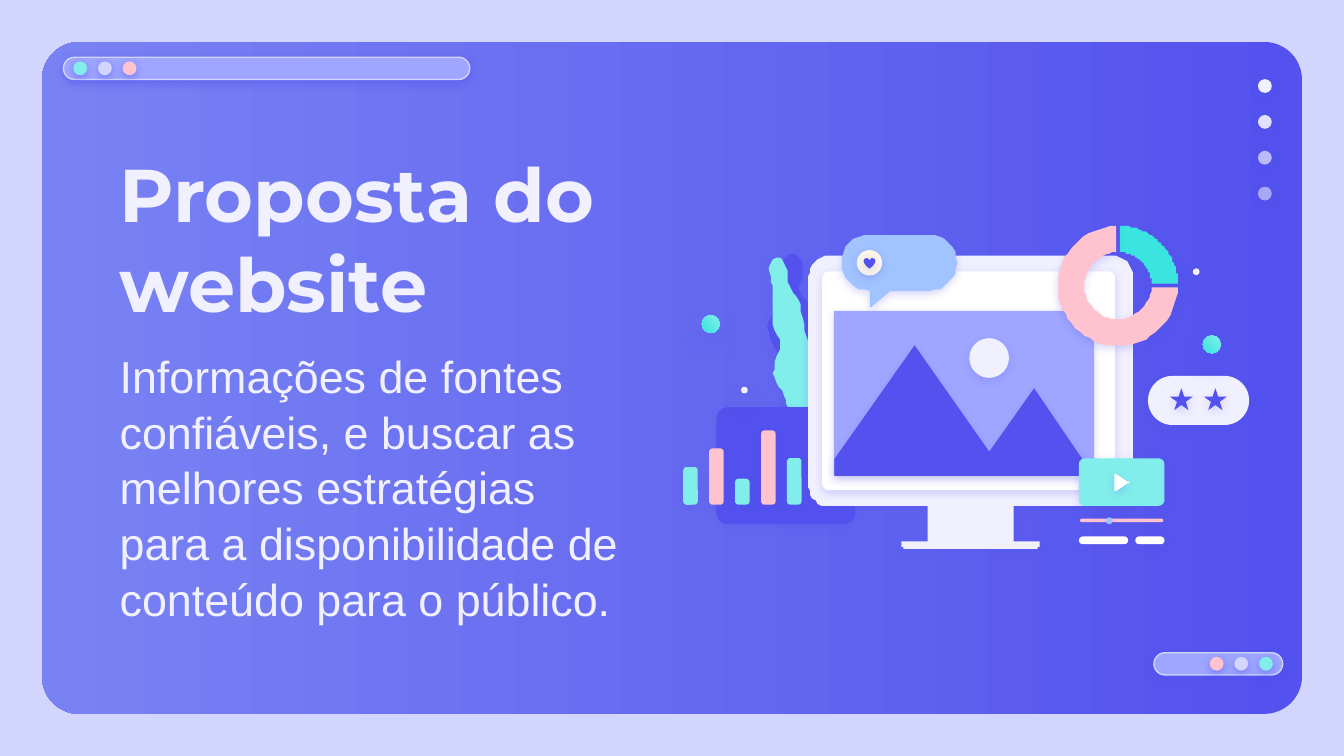
import math
from lxml import etree
from pptx import Presentation
from pptx import util as u
from pptx.dml.color import RGBColor
from pptx.enum import shapes, text
from pptx.oxml import ns

PALE = RGBColor(0xD2, 0xD6, 0xFF)
INDIGO = RGBColor(0x53, 0x52, 0xEE)
VIOLET = RGBColor(0x78, 0x82, 0xF3)
LILAC = RGBColor(0x9E, 0xA6, 0xFF)
MINT = RGBColor(0x81, 0xEE, 0xEB)
TEAL = RGBColor(0x3A, 0xE4, 0xDF)
PINK = RGBColor(0xFF, 0xC3, 0xD0)
SNOW = RGBColor(0xF1, 0xF0, 0xFF)
SKY = RGBColor(0xA1, 0xC3, 0xFF)
CREAM = RGBColor(0xFA, 0xF6, 0xE8)
WHITE = RGBColor(0xFF, 0xFF, 0xFF)
FIRM = (50, 4.5, 1.5)
SOFT = (22, 4.5, 1.5)
FAINT = (18, 4.5, 1.5)
WIDE = (38, 12.4, 6.8)
KIND = shapes.MSO_SHAPE


def curve(a, b, c, d, steps=8):
    for i in range(1, steps + 1):
        t = i / steps
        s = 1 - t
        yield tuple(s**3 * p + 3 * s * s * t * q + 3 * s * t * t * r + t**3 * v
                    for p, q, r, v in zip(a, b, c, d))


def toward(a, b, dist):
    part = dist / math.dist(a, b)
    return tuple(p + (q - p) * part for p, q in zip(a, b))


class Board:
    def __init__(self, slide):
        self.slide = slide
        self.shade = FIRM

    def tag(self, parent, name, **attrs):
        return etree.SubElement(parent, ns.qn(name), {k: str(v) for k, v in attrs.items()})

    def paint(self, shape, color, edge=None, alpha=100):
        if isinstance(color, RGBColor):
            shape.fill.solid()
            shape.fill.fore_color.rgb = color
        else:
            first, last, angle = color
            shape.fill.gradient()
            shape.fill.gradient_angle = angle
            for stop, tone in zip(shape.fill.gradient_stops, (first, last)):
                stop.color.rgb = tone
        props = shape._element.spPr
        if alpha < 100:
            self.tag(props.find(".//" + ns.qn("a:srgbClr")), "a:alpha", val=alpha * 1000)
        if edge is None:
            shape.line.fill.background()
        else:
            shape.line.color.rgb = edge
            shape.line.width = u.Pt(0.75)
        shape.shadow.inherit = False
        if self.shade:
            alpha, blur, dist = self.shade
            glow = self.tag(props.find(ns.qn("a:effectLst")), "a:outerShdw", blurRad=u.Pt(blur),
                            dist=u.Pt(dist), dir=5400000, algn="bl", rotWithShape=0)
            tone = self.tag(glow, "a:srgbClr", val=INDIGO)
            self.tag(tone, "a:alpha", val=alpha * 1000)

    def form(self, kind, x, y, w, h, color, **style):
        shape = self.slide.shapes.add_shape(kind, u.Pt(x), u.Pt(y), u.Pt(w), u.Pt(h))
        self.paint(shape, color, **style)
        return shape

    def box(self, x, y, w, h, color, r, **style):
        shape = self.form(KIND.ROUNDED_RECTANGLE, x, y, w, h, color, **style)
        shape.adjustments[0] = r / min(w, h)

    def dot(self, x, y, size, color, **style):
        self.form(KIND.OVAL, x - size / 2, y - size / 2, size, size, color, **style)

    def poly(self, points, color):
        pen = self.slide.shapes.build_freeform(*points[0], scale=u.Pt(1))
        pen.add_line_segments(points[1:])
        self.paint(pen.convert_to_shape(), color)

    def round(self, corners, color):
        points = []
        for i, (x, y, r) in enumerate(corners):
            spot = (x, y)
            if not r:
                points.append(spot)
                continue
            before, after = corners[i - 1][:2], corners[(i + 1) % len(corners)][:2]
            start, end = toward(spot, before, r), toward(spot, after, r)
            points.append(start)
            points.extend(curve(start, toward(spot, before, r * 0.45),
                                toward(spot, after, r * 0.45), end))
        self.poly(points, color)

    def leaf(self, knots, color):
        points = [knots[0]]
        for i, b in enumerate(knots):
            a, c, d = knots[i - 1], knots[(i + 1) % len(knots)], knots[(i + 2) % len(knots)]
            out = tuple(q + (r - p) / 6 for p, q, r in zip(a, b, c))
            into = tuple(q - (r - p) / 6 for p, q, r in zip(b, c, d))
            points.extend(curve(b, out, into, c, 4))
        self.poly(points, color)

    def ring(self, x, y, outer, inner, start, sweep, gap, color):
        points = []
        for radius, order in ((outer, range(49)), (inner, range(48, -1, -1))):
            trim = math.asin(gap / radius)
            for i in order:
                angle = math.radians(start) + trim + (math.radians(sweep) - 2 * trim) * i / 48
                points.append((x + radius * math.cos(angle), y + radius * math.sin(angle)))
        self.poly(points, color)

    def words(self, x, y, w, h, copy, font, size, bold, anchor, space):
        frame = self.slide.shapes.add_textbox(u.Pt(x), u.Pt(y), u.Pt(w), u.Pt(h)).text_frame
        frame.word_wrap = True
        frame.vertical_anchor = anchor
        frame.margin_left = frame.margin_right = u.Pt(7.2)
        frame.margin_top = frame.margin_bottom = u.Pt(7.2)
        frame.text = copy
        line = frame.paragraphs[0]
        line.line_spacing = space
        face = line.runs[0].font
        face.name, face.size, face.bold = font, u.Pt(size), bold
        face.color.rgb = SNOW


def frame(b):
    b.shade = None
    b.box(22.5, 22.5, 675, 360, (INDIGO, VIOLET, 180), 20.16)
    b.shade = FIRM
    for x, y, w, first, step in ((34, 30.7, 217.7, 43, 13.2), (618.2, 349.7, 69, 678.2, -13.2)):
        b.box(x, y, w, 11.9, LILAC, 5.95, edge=PALE)
        for i, color in enumerate((MINT, PALE, PINK)):
            b.dot(first + i * step, y + 5.9, 7.4, color)
    for i, alpha in enumerate((100, 90, 67, 54)):
        b.dot(677.6, 46.1 + i * 19.2, 7.4, SNOW, alpha=alpha)


def plant(b):
    b.shade = FAINT
    b.leaf([(423.4, 136.1), (428.4, 137.5), (429.8, 146.2), (428.4, 154.8), (432.7, 162.7),
            (435.6, 167), (437, 176.4), (434.9, 182.2), (438.5, 191.5), (442.8, 199.4),
            (440.6, 209.5), (437.8, 218.2), (435.6, 225.4), (430.6, 226.1), (422.6, 219.6),
            (422.6, 203), (416.9, 190.1), (411.1, 175), (416.2, 165.6), (421.2, 154.8),
            (420.5, 148.3), (419.8, 140.4)], INDIGO)
    b.leaf([(416.9, 137.5), (421.2, 142.6), (422.6, 153.4), (427.7, 160.6), (430.6, 173.5),
            (434.2, 185.8), (439.9, 198), (437.8, 203.8), (435.6, 213.1), (438.5, 225.4),
            (432, 231.1), (424.8, 228.2), (421.9, 219.6), (420.5, 211.7), (414.7, 202.3),
            (415.4, 193.7), (418.3, 184.3), (414, 174.2), (414, 163.4), (414, 153.4),
            (411.8, 142.6)], MINT)


def screen(b):
    b.shade = SOFT
    b.box(383.8, 218.2, 74.2, 62.6, INDIGO, 6)
    for i, tall in enumerate((20.2, 30.2, 13.9, 39.8, 25)):
        b.box(366 + i * 13.9, 270.4 - tall, 7.8, tall, PINK if i % 2 else MINT, 1.8)
    b.round([(433.4, 137.2, 10.8), (607, 137.2, 10.8), (607, 271.4, 10.8), (543.4, 271.4, 0),
             (543.4, 289.6, 0), (557.2, 289.6, 2), (557.2, 293.8, 2), (483, 293.8, 2),
             (483, 289.6, 2), (496.8, 289.6, 0), (496.8, 271.4, 0), (433.4, 271.4, 10.8)], SNOW)
    b.box(440.4, 145.4, 157, 117.2, WHITE, 3.5)
    b.ring(599, 153, 32.2, 18, -90, 90, 1.3, TEAL)
    b.box(615, 201.4, 54.2, 26.3, SNOW, 13.15)
    for x in (626.7, 644.9):
        b.form(KIND.STAR_5_POINT, x, 208, 12.4, 11.8, INDIGO)
    for x, w in ((578, 26.4), (608.2, 15.7)):
        b.box(x, 287.4, w, 4.2, WHITE, 2.1)
    b.round([(450.7, 125.9, 14.8), (512.7, 125.9, 14.8), (512.7, 155.8, 14.8), (477.4, 155.8, 0),
             (466, 164.7, 0), (466, 155.8, 0), (450.7, 155.8, 14.8)], SKY)
    b.dot(465.8, 140.8, 13.6, CREAM)
    b.form(KIND.HEART, 462.7, 138.1, 6.2, 5.8, INDIGO)
    b.box(578.6, 277.9, 44.6, 1.8, PINK, 0.9)
    b.dot(594.2, 279, 3.6, SKY)


def scene(b):
    b.shade = FAINT
    b.form(KIND.RECTANGLE, 446.8, 166.6, 139.4, 88, LILAC)
    b.poly([(489.8, 185.2), (446.8, 246.4), (446.8, 254.6), (586.2, 254.6),
            (553.6, 208), (529.8, 241.7)], INDIGO)
    b.dot(529.9, 191.8, 21.3, SNOW)
    b.shade = SOFT
    b.box(578, 245.6, 45.8, 25.4, MINT, 3)
    b.round([(597.1, 253.2, 1.2), (605.5, 258.3, 1.2), (597.1, 263.4, 1.2)], WHITE)
    b.ring(599, 153, 32.2, 18, 0, 270, 1.3, PINK)
    b.shade = WIDE
    for x, y, side, high in ((649.2, 184.5, 640.8, 145.6), (380.8, 173.6, 398.8, 209)):
        b.dot(x, y, 9.6, (MINT, TEAL, 225))
        b.dot(side, high, 3.6, SNOW)


def main():
    deck = Presentation()
    deck.slide_width, deck.slide_height = u.Pt(720), u.Pt(405)
    slide = deck.slides.add_slide(deck.slide_layouts[6])
    slide.background.fill.solid()
    slide.background.fill.fore_color.rgb = PALE
    b = Board(slide)
    frame(b)
    b.words(57, 72, 303, 53.3, "Proposta do website", "Montserrat", 40, True,
            text.MSO_ANCHOR.TOP, 1)
    b.words(57, 170, 291.6, 180.7, "Informações de fontes confiáveis, e buscar as melhores "
            "estratégias para a disponibilidade de conteúdo para o público.", "Arial", 24, False,
            text.MSO_ANCHOR.MIDDLE, 1.04)
    plant(b)
    screen(b)
    scene(b)
    deck.save("out.pptx")


if __name__ == "__main__":
    main()
